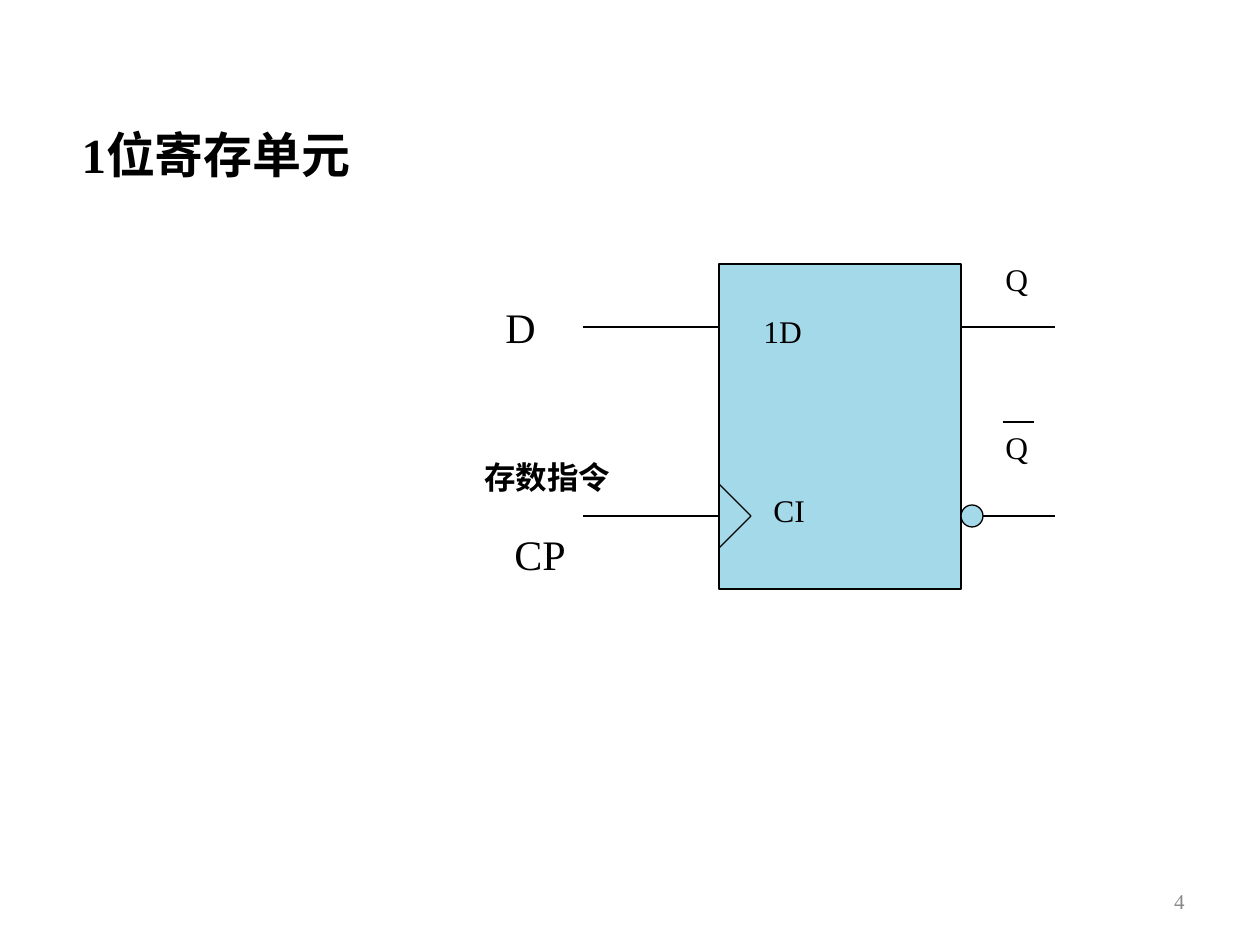
"""Builds the slide showing a one-bit register cell."""
from lxml.etree import SubElement
from pptx import Presentation
from pptx.dml.color import RGBColor
from pptx.enum.shapes import MSO_CONNECTOR, MSO_SHAPE
from pptx.enum.text import MSO_ANCHOR, MSO_AUTO_SIZE, PP_ALIGN
from pptx.oxml.ns import qn
from pptx.util import Emu, Pt

PX = 914400 / 126
FONT = "Times New Roman"
BLACK = RGBColor(0x00, 0x00, 0x00)
GRAY = RGBColor(0x89, 0x89, 0x89)
LIGHT_BLUE = RGBColor(0xA4, 0xD9, 0xEA)
LINE_WIDTH = Pt(0.75)

BLOCK_LEFT, BLOCK_TOP, BLOCK_RIGHT, BLOCK_BOTTOM = 719, 264, 961, 589
INPUT_START, OUTPUT_END = 583, 1055
DATA_Y, CLOCK_Y = 327, 516
WEDGE_DEPTH = 32
BUBBLE = 22


def px(*lengths):
    """Turn pixel lengths into EMU."""
    return [Emu(round(length * PX)) for length in lengths]


def write(frame, text, size, color=BLACK, bold=False, align=PP_ALIGN.LEFT,
          anchor=MSO_ANCHOR.TOP):
    """Put one formatted run into a text frame."""
    frame.word_wrap = True
    frame.auto_size = MSO_AUTO_SIZE.NONE
    frame.vertical_anchor = anchor
    paragraph = frame.paragraphs[0]
    paragraph.alignment = align
    run = paragraph.add_run()
    run.text = text
    run.font.name = FONT
    run.font.size = Pt(size)
    run.font.bold = bold
    run.font.color.rgb = color


def add_title(slide, text):
    """Place and format the title placeholder."""
    title = slide.shapes.title
    title.left, title.top, title.width, title.height = px(69, 118, 378, 72)
    write(title.text_frame, text, 28, bold=True)


def add_label(slide, text, bounds, size=18, **style):
    """Add a text box holding one label."""
    label = slide.shapes.add_textbox(*px(*bounds))
    write(label.text_frame, text, size, **style)


def add_part(slide, preset, bounds):
    """Add a filled, outlined part of the flip-flop."""
    part = slide.shapes.add_shape(preset, *px(*bounds))
    part.shadow.inherit = False
    part.fill.solid()
    part.fill.fore_color.rgb = LIGHT_BLUE
    part.line.color.rgb = BLACK
    part.line.width = LINE_WIDTH


def add_wire(slide, ends):
    """Add a thin black straight line."""
    wire = slide.shapes.add_connector(MSO_CONNECTOR.STRAIGHT, *px(*ends))
    wire.line.color.rgb = BLACK
    wire.line.width = LINE_WIDTH
    SubElement(wire.element.spPr, qn("a:effectLst"))


def add_flip_flop(slide):
    """Draw the block with its leads, clock wedge and inverting bubble."""
    add_part(slide, MSO_SHAPE.RECTANGLE,
             (BLOCK_LEFT, BLOCK_TOP, BLOCK_RIGHT - BLOCK_LEFT, BLOCK_BOTTOM - BLOCK_TOP))
    for lead_y in (DATA_Y, CLOCK_Y):
        add_wire(slide, (INPUT_START, lead_y, BLOCK_LEFT, lead_y))
        add_wire(slide, (BLOCK_RIGHT, lead_y, OUTPUT_END, lead_y))
    for wedge_y in (CLOCK_Y - WEDGE_DEPTH, CLOCK_Y + WEDGE_DEPTH):
        add_wire(slide, (BLOCK_LEFT, wedge_y, BLOCK_LEFT + WEDGE_DEPTH, CLOCK_Y))
    add_part(slide, MSO_SHAPE.OVAL,
             (BLOCK_RIGHT, CLOCK_Y - BUBBLE // 2, BUBBLE, BUBBLE))


def add_pin_labels(slide):
    """Name the inputs, outputs and inner pins."""
    add_label(slide, "1D", (751, 306, 84, 50))
    add_label(slide, "CI", (761, 485, 84, 50))
    add_label(slide, "D", (493, 295, 84, 63), size=24)
    add_label(slide, "CP", (502, 522, 80, 63), size=24)
    add_label(slide, "存数指令", (472, 452, 158, 50), bold=True)
    add_label(slide, "Q", (993, 254, 74, 50))
    add_label(slide, "Q", (993, 422, 94, 50))
    add_wire(slide, (1003, 422, 1034, 422))


def main():
    """Build and save the slide."""
    deck = Presentation()
    deck.slide_width, deck.slide_height = px(1260, 945)
    slide = deck.slides.add_slide(deck.slide_layouts[5])
    add_title(slide, "1位寄存单元")
    add_flip_flop(slide)
    add_pin_labels(slide)
    add_label(slide, "4", (903, 876, 294, 50), size=12, color=GRAY,
              align=PP_ALIGN.RIGHT, anchor=MSO_ANCHOR.MIDDLE)
    deck.save("out.pptx")


if __name__ == "__main__":
    main()
